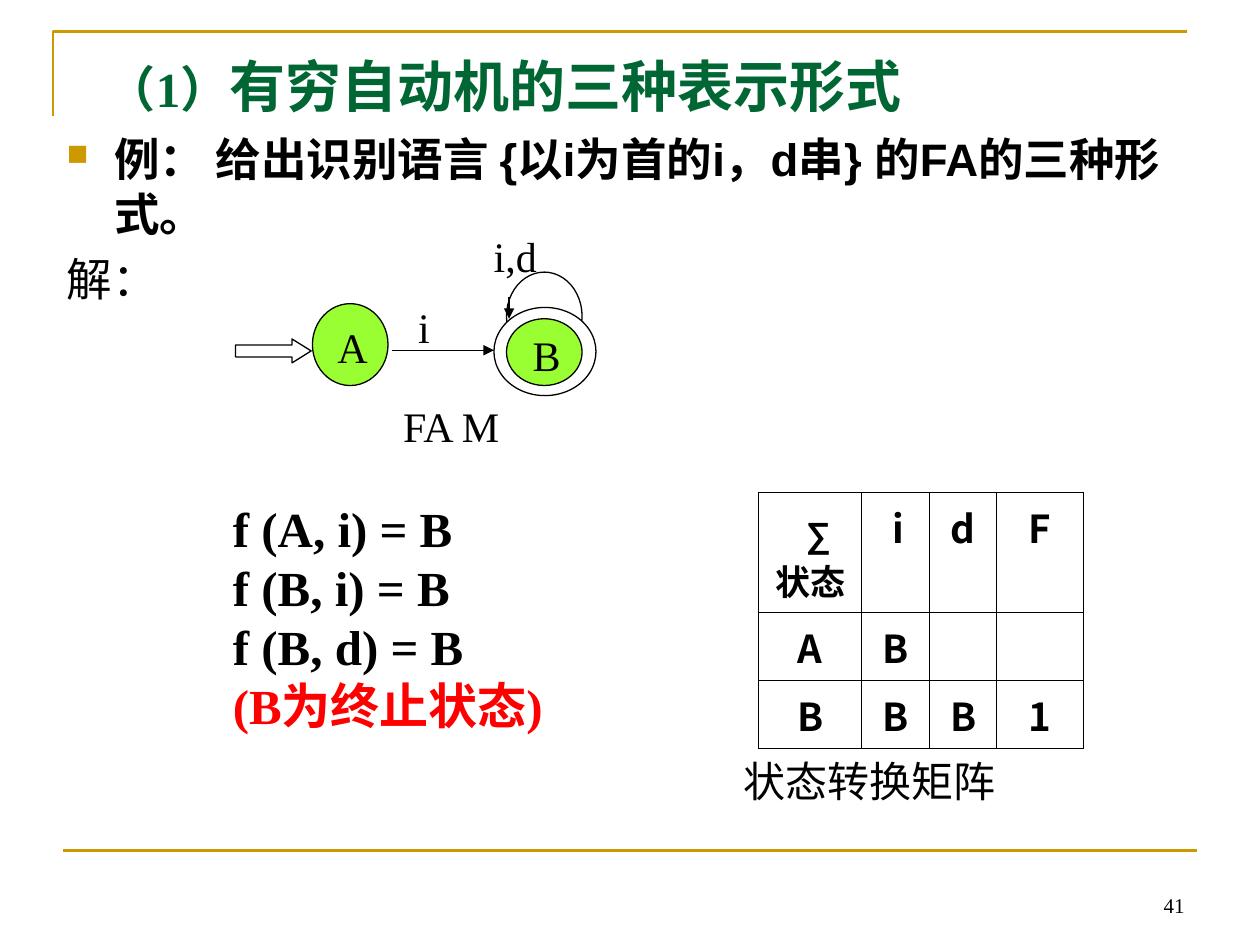
import dataclasses

import lxml.etree
import pptx
import pptx.dml.color
import pptx.enum.shapes
import pptx.enum.text
import pptx.oxml
import pptx.oxml.ns
import pptx.util

Inches, Pt = pptx.util.Inches, pptx.util.Pt
RGB = pptx.dml.color.RGBColor.from_string
SHAPE = pptx.enum.shapes.MSO_SHAPE
ALIGN = pptx.enum.text.PP_ALIGN
ANCHOR = pptx.enum.text.MSO_ANCHOR
qn = pptx.oxml.ns.qn


@dataclasses.dataclass(frozen=True)
class Theme:
    black: str = "000000"
    white: str = "FFFFFF"
    gold: str = "CC9900"
    green: str = "006633"
    red: str = "FF0000"
    state: str = "99FF33"
    serif: str = "Times New Roman"
    sans: str = "Arial"
    cjk: str = "Noto Sans CJK SC"
    title: int = 32
    heading: int = 28
    body: int = 26
    label: int = 24
    cell: int = 22
    cell_small: int = 20
    page: int = 12
    thin: float = 0.75
    rule: float = 1.5
    outer_border: float = 0.96
    inner_border: float = 0.45


def add_xml(parent, tag, **attributes):
    return lxml.etree.SubElement(parent, qn(tag), attributes)


class SlideBuilder:
    def __init__(self, slide, theme):
        self.slide = slide
        self.theme = theme

    def style_run(self, r, size, font=None, color=None, bold=False):
        r.font.size = Pt(size)
        r.font.bold = bold
        r.font.name = font or self.theme.serif
        r.font.color.rgb = RGB(color or self.theme.black)
        r.font._element.find(qn("a:latin")).addnext(
            r.font._element.makeelement(qn("a:ea"), {"typeface": self.theme.cjk}))

    def style_line(self, line, color, width):
        line.color.rgb = RGB(color)
        line.width = Pt(width)

    def text(self, box, lines, size, align=ALIGN.LEFT, anchor=ANCHOR.TOP, **style):
        s = self.slide.shapes.add_textbox(*map(Inches, box))
        tf = s.text_frame
        tf.word_wrap = True
        tf.vertical_anchor = anchor
        tf.text = lines
        for p in tf.paragraphs:
            p.alignment = align
            for r in p.runs:
                self.style_run(r, size, **style)
        return tf

    def bullet(self, p, indent, char, color, percent):
        pPr = p._p.get_or_add_pPr()
        pPr.set("marL", str(Inches(indent)))
        pPr.set("indent", str(-Inches(indent)))
        add_xml(add_xml(pPr, "a:buClr"), "a:srgbClr", val=color)
        add_xml(pPr, "a:buSzPct", val=str(percent * 1000))
        add_xml(pPr, "a:buChar", char=char)

    def shape(self, kind, box, fill):
        s = self.slide.shapes.add_shape(kind, *map(Inches, box))
        s.shadow.inherit = False
        s.fill.solid()
        s.fill.fore_color.rgb = RGB(fill)
        self.style_line(s.line, self.theme.black, self.theme.thin)
        return s

    def line(self, start, end, color, width, arrow=False):
        s = self.slide.shapes.add_connector(
            pptx.enum.shapes.MSO_CONNECTOR.STRAIGHT, *map(Inches, start + end))
        self.style_line(s.line, color, width)
        if arrow:
            add_xml(s.line._get_or_add_ln(), "a:tailEnd", type="triangle")
        add_xml(s._element.spPr, "a:effectLst")

    def arrow(self, start, end):
        self.line(start, end, self.theme.black, self.theme.thin, arrow=True)

    def corner(self, points, color, width):
        path = [(Inches(x), Inches(y)) for x, y in points]
        builder = self.slide.shapes.build_freeform(*path[0])
        builder.add_line_segments(path[1:], close=False)
        s = builder.convert_to_shape()
        s.shadow.inherit = False
        s.fill.background()
        self.style_line(s.line, color, width)

    def borders(self, cell, widths):
        tcPr = cell._tc.get_or_add_tcPr()
        for i, (side, width) in enumerate(zip("LRTB", widths)):
            ln = tcPr.makeelement(qn(f"a:ln{side}"), {"w": str(Pt(width))})
            add_xml(add_xml(ln, "a:solidFill"), "a:srgbClr", val=self.theme.black)
            tcPr.insert(i, ln)

    def table(self, left, top, widths, heights, rows):
        t = self.theme
        frame = self.slide.shapes.add_table(
            len(rows), len(widths), Inches(left), Inches(top),
            Inches(sum(widths)), Inches(sum(heights)))
        table = frame.table
        table.first_row = table.horz_banding = False
        for column, width in zip(table.columns, widths):
            column.width = Inches(width)
        for row, height in zip(table.rows, heights):
            row.height = Inches(height)
        for i, values in enumerate(rows):
            for j, value in enumerate(values):
                cell = table.cell(i, j)
                cell.fill.background()
                cell.text_frame.text = value
                for p in cell.text_frame.paragraphs:
                    p.alignment = ALIGN.CENTER
                    for r in p.runs:
                        self.style_run(r, t.cell, t.cjk, bold=True)
                edges = (j == 0, j == len(widths) - 1, i == 0, i == len(rows) - 1)
                self.borders(cell, [t.outer_border if e else t.inner_border for e in edges])
        return table


def add_frame(b):
    t = b.theme
    b.corner([(0.42, 0.92), (0.42, 0.25), (9.42, 0.25)], t.gold, t.rule)
    b.line((0.5, 6.75), (9.5, 6.75), t.gold, t.rule)
    b.text((7.17, 6.83, 2.33, 0.5), "41", t.page, ALIGN.RIGHT, ANCHOR.BOTTOM)


def add_heading_and_body(b):
    t = b.theme
    tf = b.text((0.75, 0.36, 7.4, 0.64), "（1）", t.heading, color=t.green, bold=True)
    r = tf.paragraphs[0].add_run()
    r.text = "有穷自动机的三种表示形式"
    b.style_run(r, t.title, color=t.green, bold=True)

    tf = b.text((0.43, 0.99, 8.91, 5.19),
                "例： 给出识别语言 {以i为首的i，d串} 的FA的三种形式。\n解：",
                t.body, font=t.sans, bold=True)
    example, answer = tf.paragraphs
    b.bullet(example, 0.38, "■", t.gold, 65)
    answer.space_before = Pt(6.5)
    answer.runs[0].font.bold = False


def add_automaton(b):
    t = b.theme
    start = b.shape(SHAPE.RIGHT_ARROW, (1.87, 2.69, 0.6, 0.19), t.white)
    start.adjustments[1] = 0.8
    for box, fill in [((4.02, 2.16, 0.6, 0.7), t.white),
                      ((3.92, 2.44, 0.81, 0.7), t.white),
                      ((4.02, 2.53, 0.6, 0.53), t.state),
                      ((2.48, 2.41, 0.6, 0.65), t.state)]:
        b.shape(SHAPE.OVAL, box, fill)
    for ends in [((4.02, 2.53), (4.02, 2.53)), ((4.04, 2.36), (4.04, 2.53)),
                 ((2.48, 2.53), (2.48, 2.53)), ((3.11, 2.78), (3.92, 2.78))]:
        b.arrow(*ends)
    for box, label in [((3.22, 2.34, 0.6, 0.53), "i"), ((3.82, 1.78, 1.01, 0.53), "i,d"),
                       ((4.13, 2.57, 0.6, 0.53), "B"), ((2.58, 2.5, 0.6, 0.65), "A")]:
        b.text(box, label, t.label, ALIGN.JUSTIFY)
    b.text((1.77, 3.13, 3.62, 0.7), "FA M", t.label, ALIGN.CENTER)


def add_transitions(b):
    t = b.theme
    tf = b.text((1.75, 3.91, 3.25, 1.97),
                "f (A, i) = B\nf (B, i) = B\nf (B, d) = B\n(B为终止状态)",
                t.heading, bold=True)
    tf.paragraphs[-1].runs[0].font.color.rgb = RGB(t.red)

    table = b.table(6.02, 3.91, [0.82, 0.54, 0.53, 0.69], [0.95, 0.54, 0.54],
                    [["∑\n状态", "i", "d", "F"], ["A", "B", "", ""], ["B", "B", "B", "1"]])
    corner = table.cell(0, 0).text_frame.paragraphs
    for p in corner:
        p.runs[0].font.size = Pt(t.cell_small)
    corner[0].runs[0].font.name = t.sans
    corner[0].line_spacing = Pt(32)
    for p, indent in [(corner[0], 0.13), (table.cell(0, 1).text_frame.paragraphs[0], 0.04)]:
        p._p.get_or_add_pPr().set("marL", str(Inches(indent)))
    b.text((5.71, 5.95, 2.38, 0.32), "状态转换矩阵", t.label, ALIGN.CENTER)


def main():
    prs = pptx.Presentation()
    prs.slide_width, prs.slide_height = Inches(10), Inches(7.5)
    b = SlideBuilder(prs.slides.add_slide(prs.slide_layouts[6]), Theme())
    add_frame(b)
    add_heading_and_body(b)
    add_automaton(b)
    add_transitions(b)
    prs.save("out.pptx")


if __name__ == "__main__":
    main()
